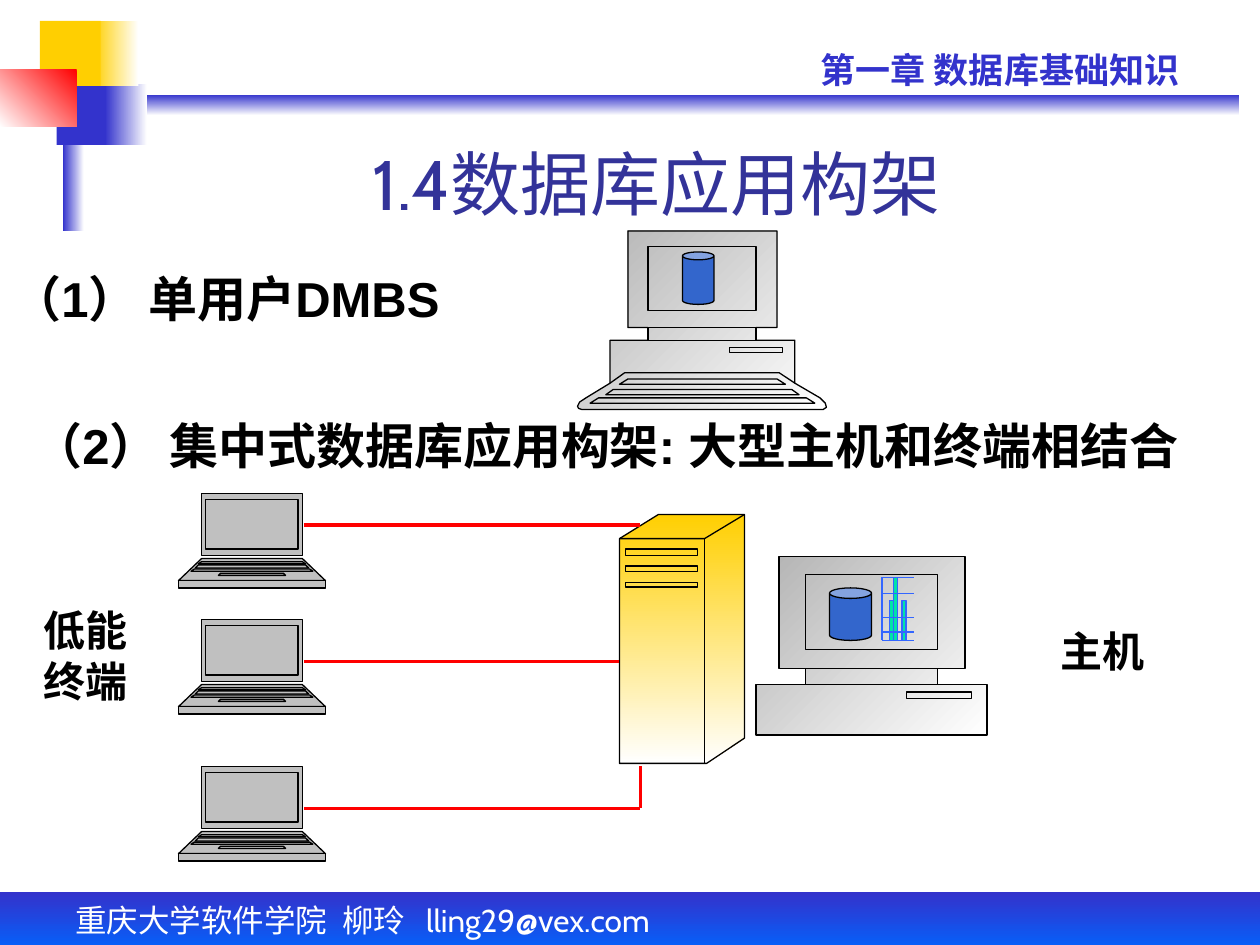
from lxml.etree import SubElement
from pptx import Presentation
from pptx.dml.color import RGBColor
from pptx.enum.shapes import MSO_CONNECTOR, MSO_SHAPE
from pptx.enum.text import MSO_ANCHOR, PP_ALIGN
from pptx.oxml.ns import qn
from pptx.util import Pt

PX = 7620
BLACK = RGBColor(0x00, 0x00, 0x00)
WHITE = RGBColor(0xFF, 0xFF, 0xFF)
BLUE = RGBColor(0x33, 0x33, 0xCC)
BRIGHT_BLUE = RGBColor(0x00, 0x66, 0xFF)
TITLE_BLUE = RGBColor(0x33, 0x33, 0x99)
DISK_BLUE = RGBColor(0x33, 0x66, 0xCC)
GRID_BLUE = RGBColor(0x33, 0x66, 0xFF)
YELLOW = RGBColor(0xFF, 0xCF, 0x01)
RED = RGBColor(0xFF, 0x00, 0x00)
GREEN = RGBColor(0x00, 0xE4, 0xA8)
SILVER = RGBColor(0xC0, 0xC0, 0xC0)
GRAY = RGBColor(0xB2, 0xB2, 0xB2)
CASE = (WHITE, GRAY, 225)

DECORATION = [
    ((70, 90, 1110, 20), (BLUE, WHITE, 90)),
    ((100, 80, 40, 58), (WHITE, BLUE, 180)),
    ((0, 850, 1200, 60), (BLUE, BRIGHT_BLUE, 90)),
    ((60, 70, 20, 150), (WHITE, BLUE, 180)),
    ((54, 80, 46, 58), BLUE),
    ((89, 20, 43, 62), (WHITE, YELLOW, 180)),
    ((38, 20, 58, 62), YELLOW),
    ((0, 66, 73, 55), (RED, WHITE, 135)),
]
TEXTS = [
    ("重庆大学软件学院\t柳玲\tlling29@vex.com", (60, 852, 880, 55),
     dict(size=18, font="Cabin", color=WHITE, before=11.2, tabs=(254, 334))),
    ("第一章 数据库基础知识", (770, 40, 410, 53),
     dict(size=20, font="Cabin", color=BLUE, bold=True, before=12.5)),
    ("1.4数据库应用构架", (150, 140, 950, 80),
     dict(size=40, font="Cabin", color=TITLE_BLUE, align=PP_ALIGN.CENTER, anchor=MSO_ANCHOR.BOTTOM)),
    ("（1） 单用户DMBS", (0, 250, 476, 68), dict(size=28, bold=True, wrap=False)),
    ("（2） 集中式数据库应用构架: 大型主机和终端相结合", (20, 390, 1180, 68),
     dict(size=28, bold=True, before=17.5)),
    ("低能终端", (30, 570, 130, 108),
     dict(size=24, font="Times New Roman", bold=True, before=15)),
    ("主机", (980, 590, 140, 60),
     dict(size=24, font="Times New Roman", bold=True, before=15, align=PP_ALIGN.CENTER)),
]

PC_OUTLINE = [
    (781, 379), (757, 365), (757, 324), (720, 324), (720, 312), (740, 312), (740, 220),
    (598, 220), (598, 312), (617, 312), (617, 324), (581, 324), (581, 365), (558, 379),
    (552, 383), (550, 387), (551, 389), (554, 390), (784, 390), (787, 388), (786, 384)]
PC_KEY_ROWS = [(361, 366, 71, 79), (371, 376, 85, 92), (379, 384, 99, 107)]
PC_KEYBOARD_EDGE = [(757, 365), (742, 355), (595, 355), (581, 365)]
PC_PANELS = [(695, 331, 745, 336), (617, 235, 720, 296), (617, 312, 720, 324)]

HOST_OUTLINE = [
    (893, 652), (893, 637), (919, 637), (919, 530), (742, 530), (742, 637),
    (767, 637), (767, 652), (720, 652), (720, 700), (940, 700), (940, 652)]
HOST_PANELS = [(767, 637, 893, 652), (767, 547, 893, 619), (863, 659, 925, 665)]

SERVER_OUTLINE = [(590, 513), (627, 490), (709, 490), (709, 703), (673, 727), (590, 727)]
SERVER_EDGES = [[(590, 513), (671, 513), (709, 490)], [(671, 513), (671, 727)]]
SERVER_SLOTS = [(596, 523, 664, 529), (596, 539, 664, 544), (596, 555, 664, 559)]

LAPTOP_LEFT, LAPTOP_HALF = 170, 70
LAPTOP_TOPS = (470, 590, 730)
LAPTOP_PARTS = [
    (0, 59, 48, 48), (62, 83, 48, 70), (83, 90, 70, 70), (6, 53, 44, 44),
    (65, 67, 48, 51), (76, 78, 30, 32), (68, 71, 51, 54), (72, 74, 55, 58)]

DISKS = [(650, 240, 30, 50), (790, 560, 40, 50)]
CABLES = [(290, 500, 610, 500), (290, 630, 590, 630), (290, 770, 610, 770), (610, 770, 610, 730)]
BARS = [(851, 550, 4, 60), (859, 572, 4, 38), (847, 572, 4, 38)]
GRID_LEFT, GRID_RIGHT = 840, 870
GRID_ROWS = (550, 565, 588, 602, 610)


def px(values):
    return [value * PX for value in values]


def paint(shape, fill, line=None):
    shape.shadow.inherit = False
    if isinstance(fill, tuple) and len(fill) == 3 and isinstance(fill[0], RGBColor):
        start, end, clockwise = fill
        shape.fill.gradient()
        shape.fill.gradient_angle = 360 - clockwise
        for stop, color in zip(shape.fill.gradient_stops, (start, end)):
            stop.color.rgb = color
    else:
        shape.fill.solid()
        shape.fill.fore_color.rgb = fill
    if line is None:
        shape.line.fill.background()
    else:
        shape.line.color.rgb = line
        shape.line.width = Pt(0.75)


def preset(slide, kind, box, fill, line=None):
    paint(slide.shapes.add_shape(kind, *px(box)), fill, line)


def trapezoid(center, top, bottom, half_top, half_bottom):
    return [(center - half_top, top), (center + half_top, top),
            (center + half_bottom, bottom), (center - half_bottom, bottom)]


def panel(left, top, right, bottom):
    return [(left, top), (right, top), (right, bottom), (left, bottom), (left, top)]


def drawing(slide, solids, strokes, fill):
    contours = [(points, True) for points in solids] + [(points, False) for points in strokes]
    builder = slide.shapes.build_freeform(*contours[0][0][0], scale=PX)
    for index, (points, closed) in enumerate(contours):
        if index:
            builder.move_to(*points[0])
        builder.add_line_segments(points[1:], close=closed)
    shape = builder.convert_to_shape()
    paint(shape, fill, BLACK)
    outlines = shape.element.find(".//" + qn("a:pathLst"))
    combined = outlines[0]
    for step in list(combined):
        if step.tag == qn("a:moveTo"):
            outline = SubElement(outlines, qn("a:path"), w=combined.get("w"), h=combined.get("h"), fill="none")
        if step.tag == qn("a:close"):
            outline.set("fill", "norm")
        outline.append(step)
    outlines.remove(combined)


def wire(slide, ends, color, width):
    connector = slide.shapes.add_connector(MSO_CONNECTOR.STRAIGHT, *px(ends))
    connector.line.color.rgb = color
    connector.line.width = Pt(width)
    SubElement(connector.element.spPr, qn("a:effectLst"))


def write(slide, text, box, size, font="Arial", color=BLACK, bold=False, before=0,
          align=PP_ALIGN.LEFT, anchor=MSO_ANCHOR.TOP, wrap=True, tabs=()):
    frame = slide.shapes.add_textbox(*px(box)).text_frame
    frame.word_wrap = wrap
    frame.vertical_anchor = anchor
    paragraph = frame.paragraphs[0]
    paragraph.alignment = align
    paragraph.space_before = Pt(before)
    if tabs:
        stops = SubElement(paragraph._p.get_or_add_pPr(), qn("a:tabLst"))
        for position in tabs:
            SubElement(stops, qn("a:tab"), pos=str(position * PX), algn="l")
    run = paragraph.add_run()
    run.text = text
    run.font.size = Pt(size)
    run.font.name = font
    run.font.bold = bold
    run.font.color.rgb = color


def main():
    """Build the slide on database application architectures."""
    deck = Presentation()
    deck.slide_width, deck.slide_height = px((1200, 900))
    slide = deck.slides.add_slide(deck.slide_layouts[6])

    for box, fill in DECORATION:
        preset(slide, MSO_SHAPE.RECTANGLE, box, fill)
    for text, box, style in TEXTS:
        write(slide, text, box, **style)

    key_rows = [trapezoid(669, *row) for row in PC_KEY_ROWS]
    drawing(slide, [PC_OUTLINE] + key_rows,
            [PC_KEYBOARD_EDGE] + [panel(*edges) for edges in PC_PANELS], CASE)
    drawing(slide, [SERVER_OUTLINE],
            SERVER_EDGES + [panel(*edges) for edges in SERVER_SLOTS], (YELLOW, WHITE, 90))
    for laptop_top in LAPTOP_TOPS:
        parts = [trapezoid(LAPTOP_LEFT + LAPTOP_HALF, laptop_top + top, laptop_top + bottom, *halves)
                 for top, bottom, *halves in LAPTOP_PARTS]
        drawing(slide, parts, [], SILVER)
    drawing(slide, [HOST_OUTLINE], [panel(*edges) for edges in HOST_PANELS], CASE)

    for box in DISKS:
        preset(slide, MSO_SHAPE.CAN, box, DISK_BLUE, BLACK)
    for ends in CABLES:
        wire(slide, ends, RED, 2.25)
    for box in BARS:
        preset(slide, MSO_SHAPE.RECTANGLE, box, GREEN, GRID_BLUE)
    for row in GRID_ROWS:
        wire(slide, (GRID_LEFT, row, GRID_RIGHT, row), GRID_BLUE, 0.75)
    wire(slide, (GRID_LEFT, GRID_ROWS[0], GRID_LEFT, GRID_ROWS[-1]), GRID_BLUE, 0.75)

    deck.save("out.pptx")


if __name__ == "__main__":
    main()
